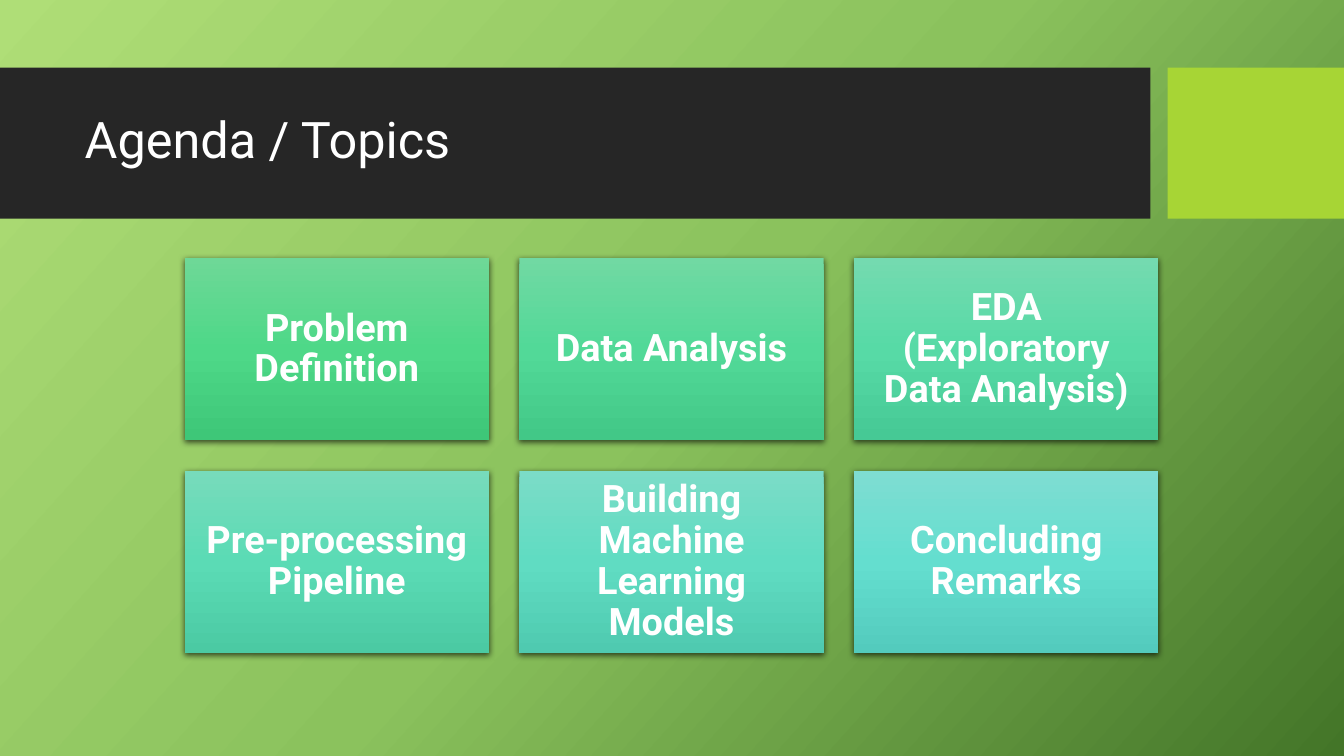
from copy import deepcopy
from dataclasses import dataclass

from lxml.etree import SubElement
from pptx import Presentation
from pptx.dml.color import RGBColor
from pptx.dml.fill import FillFormat
from pptx.enum.shapes import MSO_SHAPE
from pptx.enum.text import MSO_ANCHOR, MSO_AUTO_SIZE, PP_ALIGN
from pptx.oxml.ns import qn
from pptx.oxml.xmlchemy import BaseOxmlElement
from pptx.shapes.autoshape import Shape
from pptx.slide import Slide
from pptx.text.text import TextFrame
from pptx.util import Pt

PX = 9144  # EMU per px, 100 px to the inch
FONT = "Roboto"
WHITE = RGBColor(0xFF, 0xFF, 0xFF)
CHARCOAL = RGBColor(0x26, 0x26, 0x26)
LIME = RGBColor(0xA7, 0xD5, 0x35)
BACKDROP_TOP = RGBColor(0xAF, 0xDE, 0x77)
BACKDROP_MIDDLE = RGBColor(0x8B, 0xC2, 0x5D)
BACKDROP_BOTTOM = RGBColor(0x43, 0x75, 0x28)
EMERALD_TOP = RGBColor(0x6E, 0xD8, 0x97)
EMERALD_MIDDLE = RGBColor(0x4E, 0xD8, 0x88)
EMERALD_BOTTOM = RGBColor(0x3E, 0xC7, 0x78)
JADE_TOP = RGBColor(0x71, 0xD9, 0xA3)
JADE_MIDDLE = RGBColor(0x52, 0xD9, 0x98)
JADE_BOTTOM = RGBColor(0x42, 0xC8, 0x87)
MINT_TOP = RGBColor(0x74, 0xDA, 0xB0)
MINT_MIDDLE = RGBColor(0x57, 0xDA, 0xA6)
MINT_BOTTOM = RGBColor(0x46, 0xC9, 0x95)
SEA_TOP = RGBColor(0x77, 0xDB, 0xBB)
SEA_MIDDLE = RGBColor(0x5B, 0xDB, 0xB5)
SEA_BOTTOM = RGBColor(0x4B, 0xCA, 0xA3)
AQUA_TOP = RGBColor(0x7B, 0xDC, 0xC7)
AQUA_MIDDLE = RGBColor(0x60, 0xDC, 0xC2)
AQUA_BOTTOM = RGBColor(0x4F, 0xCA, 0xB0)
TEAL_TOP = RGBColor(0x7E, 0xDD, 0xD2)
TEAL_MIDDLE = RGBColor(0x64, 0xDE, 0xCF)
TEAL_BOTTOM = RGBColor(0x53, 0xCB, 0xBD)


@dataclass(frozen=True)
class Box:
    left: int
    top: int
    width: int
    height: int


@dataclass(frozen=True)
class Gradient:
    start: RGBColor
    middle: RGBColor
    end: RGBColor


@dataclass(frozen=True)
class Topic:
    label: str
    gradient: Gradient


@dataclass(frozen=True)
class Band:
    box: Box
    color: RGBColor


BACKDROP = Gradient(BACKDROP_TOP, BACKDROP_MIDDLE, BACKDROP_BOTTOM)
BANDS = [
    Band(Box(0, 67, 1141, 150), CHARCOAL),
    Band(Box(1158, 67, 175, 150), LIME),
]
TITLE_BOX = Box(74, 82, 1051, 118)
TOPICS = [
    Topic("Problem Definition", Gradient(EMERALD_TOP, EMERALD_MIDDLE, EMERALD_BOTTOM)),
    Topic("Data Analysis", Gradient(JADE_TOP, JADE_MIDDLE, JADE_BOTTOM)),
    Topic("EDA (Exploratory Data Analysis)", Gradient(MINT_TOP, MINT_MIDDLE, MINT_BOTTOM)),
    Topic("Pre-processing Pipeline", Gradient(SEA_TOP, SEA_MIDDLE, SEA_BOTTOM)),
    Topic("Building Machine Learning Models", Gradient(AQUA_TOP, AQUA_MIDDLE, AQUA_BOTTOM)),
    Topic("Concluding Remarks", Gradient(TEAL_TOP, TEAL_MIDDLE, TEAL_BOTTOM)),
]
COLUMNS = 3
FIRST_CARD = Box(183, 256, 302, 181)
CARD_GAP = 30
CARD_INSET = 11


def paint_gradient(
    fill: FillFormat, owner: BaseOxmlElement, gradient: Gradient, angle: int
) -> None:
    """Fill with three even stops; the angle runs clockwise."""
    fill.gradient()
    fill.gradient_angle = 360 - angle
    stops = next(owner.iter(qn("a:gsLst")))
    stops.insert(1, deepcopy(stops[0]))
    colors = (gradient.start, gradient.middle, gradient.end)
    for stop, color, position in zip(fill.gradient_stops, colors, (0, 0.5, 1)):
        stop.color.rgb = color
        stop.position = position


def add_soft_shadow(card: Shape) -> None:
    card.shadow.inherit = False
    effects = card.element.spPr.find(qn("a:effectLst"))
    shadow = SubElement(
        effects, qn("a:outerShdw"),
        blurRad=str(Pt(4.5)), dist=str(Pt(1.5)), dir="5400000", rotWithShape="0",
    )
    black = SubElement(shadow, qn("a:srgbClr"), val="000000")
    SubElement(black, qn("a:alpha"), val="63000")


def add_rectangle(slide: Slide, box: Box) -> Shape:
    rectangle = slide.shapes.add_shape(
        MSO_SHAPE.RECTANGLE,
        box.left * PX, box.top * PX, box.width * PX, box.height * PX,
    )
    rectangle.line.fill.background()
    rectangle.shadow.inherit = False
    return rectangle


def write_text(
    frame: TextFrame, text: str, size: int, bold: bool, alignment: PP_ALIGN
) -> None:
    frame.word_wrap = True
    frame.auto_size = MSO_AUTO_SIZE.NONE
    frame.vertical_anchor = MSO_ANCHOR.MIDDLE
    paragraph = frame.paragraphs[0]
    paragraph.alignment = alignment
    paragraph.line_spacing = 0.9
    run = paragraph.add_run()
    run.text = text
    run.font.name = FONT
    run.font.size = Pt(size)
    run.font.bold = bold
    run.font.color.rgb = WHITE


def add_band(slide: Slide, band: Band) -> None:
    rectangle = add_rectangle(slide, band.box)
    rectangle.fill.solid()
    rectangle.fill.fore_color.rgb = band.color
    # Behind the title placeholder
    slide.shapes.element.insert(2, rectangle.element)


def place_title(slide: Slide) -> None:
    title = slide.shapes.title
    title.left, title.top = TITLE_BOX.left * PX, TITLE_BOX.top * PX
    title.width, title.height = TITLE_BOX.width * PX, TITLE_BOX.height * PX
    write_text(title.text_frame, "Agenda / Topics", 36, False, PP_ALIGN.LEFT)


def add_topic_card(slide: Slide, topic: Topic, box: Box) -> None:
    card = add_rectangle(slide, box)
    paint_gradient(card.fill, card.element, topic.gradient, 90)
    add_soft_shadow(card)
    frame = card.text_frame
    frame.margin_left = frame.margin_right = CARD_INSET * PX
    frame.margin_top = frame.margin_bottom = CARD_INSET * PX
    write_text(frame, topic.label, 27, True, PP_ALIGN.CENTER)


def main() -> None:
    deck = Presentation()
    deck.slide_width, deck.slide_height = 1333 * PX, 750 * PX
    agenda = deck.slides.add_slide(deck.slide_layouts.get_by_name("Title Only"))

    # Backdrop and title band
    paint_gradient(agenda.background.fill, agenda.element, BACKDROP, 42)
    for band in BANDS:
        add_band(agenda, band)
    place_title(agenda)

    # Topic grid
    for index, topic in enumerate(TOPICS):
        row, column = divmod(index, COLUMNS)
        left = FIRST_CARD.left + column * (FIRST_CARD.width + CARD_GAP)
        top = FIRST_CARD.top + row * (FIRST_CARD.height + CARD_GAP)
        add_topic_card(agenda, topic, Box(left, top, FIRST_CARD.width, FIRST_CARD.height))

    deck.save("out.pptx")


if __name__ == "__main__":
    main()
